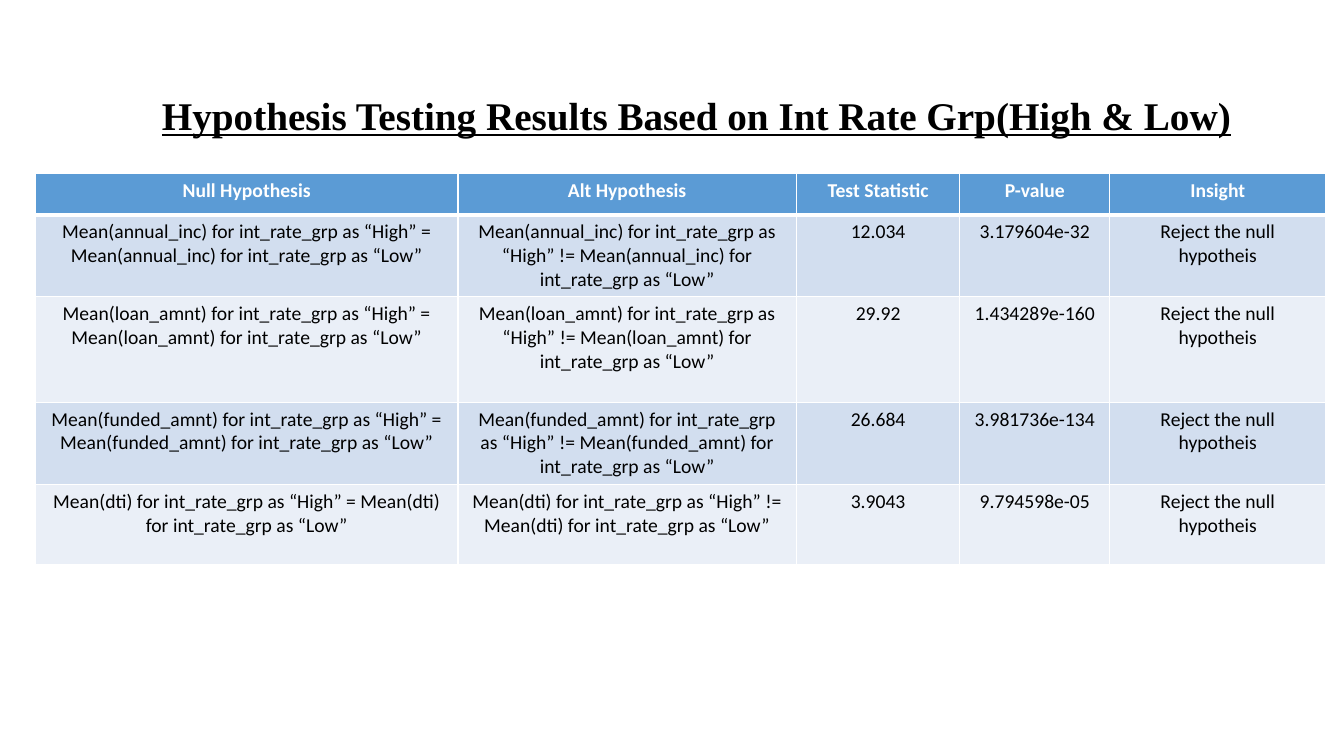
"""Build a slide that tabulates hypothesis tests between high and low interest rate groups."""
from dataclasses import dataclass

from lxml.etree import SubElement
from pptx import Presentation
from pptx.dml.color import RGBColor
from pptx.enum.text import MSO_ANCHOR, MSO_AUTO_SIZE, PP_ALIGN
from pptx.oxml.ns import qn
from pptx.slide import Slide
from pptx.table import _Cell
from pptx.util import Cm, Pt


@dataclass(frozen=True)
class Theme:
    title_font: str = "Times New Roman"
    table_font: str = "Calibri"
    title_size: int = 28
    table_size: int = 14
    ink: str = "000000"
    header_ink: str = "FFFFFF"
    header_fill: str = "5B9BD5"
    band_fills: tuple[str, str] = ("D2DEEF", "EAEFF7")
    border: str = "FFFFFF"
    border_width: float = 1
    header_rule_width: float = 3


@dataclass(frozen=True)
class HypothesisTest:
    variable: str
    statistic: str
    p_value: str
    height: float
    insight: str = "Reject the null hypotheis"

    def hypothesis(self, relation: str) -> str:
        mean = f"Mean({self.variable}) for int_rate_grp as"
        return f"{mean} “High” {relation} {mean} “Low”"

    def texts(self) -> tuple[str, ...]:
        return (self.hypothesis("="), self.hypothesis("!="),
                self.statistic, self.p_value, self.insight)


THEME = Theme()
TITLE = "Hypothesis Testing Results Based on Int Rate Grp(High & Low)"
HEADINGS = ("Null Hypothesis", "Alt Hypothesis", "Test Statistic", "P-value", "Insight")
COLUMN_WIDTHS = (10.64, 8.53, 4.12, 3.78, 5.44)
HEADER_HEIGHT = 1.03
TESTS = (
    HypothesisTest("annual_inc", "12.034", "3.179604e-32", 2.07),
    HypothesisTest("loan_amnt", "29.92", "1.434289e-160", 2.66),
    HypothesisTest("funded_amnt", "26.684", "3.981736e-134", 2.07),
    HypothesisTest("dti", "3.9043", "9.794598e-05", 2.03),
)


def add_borders(cell: _Cell, bottom_width: float, top_width: float) -> None:
    """Draw the four edges of a cell."""
    properties = cell._tc.get_or_add_tcPr()
    widths = {"a:lnL": THEME.border_width, "a:lnR": THEME.border_width,
              "a:lnT": top_width, "a:lnB": bottom_width}
    for edge, width in widths.items():
        line = SubElement(properties, qn(edge), w=str(Pt(width)))
        fill = SubElement(line, qn("a:solidFill"))
        SubElement(fill, qn("a:srgbClr"), val=THEME.border)


def fill_cell(cell: _Cell, text: str, row: int) -> None:
    """Write and format one cell according to its row."""
    is_header = row == 0
    add_borders(
        cell,
        bottom_width=THEME.header_rule_width if is_header else THEME.border_width,
        top_width=THEME.header_rule_width if row == 1 else THEME.border_width,
    )
    cell.fill.solid()
    fill = THEME.header_fill if is_header else THEME.band_fills[(row - 1) % 2]
    cell.fill.fore_color.rgb = RGBColor.from_string(fill)
    cell.text = text
    paragraph = cell.text_frame.paragraphs[0]
    paragraph.alignment = PP_ALIGN.CENTER
    font = paragraph.font
    font.name = THEME.table_font
    font.size = Pt(THEME.table_size)
    font.bold = is_header
    font.color.rgb = RGBColor.from_string(THEME.header_ink if is_header else THEME.ink)


def add_title(slide: Slide) -> None:
    """Place and format the slide title."""
    title = slide.shapes.title
    title.left, title.top, title.width, title.height = Cm(3.15), Cm(1.78), Cm(28.8), Cm(2.39)
    frame = title.text_frame
    frame.text = TITLE
    frame.word_wrap = True
    frame.auto_size = MSO_AUTO_SIZE.NONE
    frame.vertical_anchor = MSO_ANCHOR.MIDDLE
    paragraph = frame.paragraphs[0]
    paragraph.alignment = PP_ALIGN.CENTER
    paragraph.line_spacing = 0.9
    font = paragraph.font
    font.name = THEME.title_font
    font.size = Pt(THEME.title_size)
    font.bold = True
    font.underline = True
    font.color.rgb = RGBColor.from_string(THEME.ink)


def add_results(slide: Slide) -> None:
    """Add the table of test results."""
    heights = (HEADER_HEIGHT, *(test.height for test in TESTS))
    results = slide.shapes.add_table(
        len(heights), len(HEADINGS), Cm(0.9), Cm(4.38),
        Cm(sum(COLUMN_WIDTHS)), Cm(sum(heights)),
    ).table
    for column, width in zip(results.columns, COLUMN_WIDTHS):
        column.width = Cm(width)
    for row, height in zip(results.rows, heights):
        row.height = Cm(height)
    for row, texts in enumerate((HEADINGS, *(test.texts() for test in TESTS))):
        for column, text in enumerate(texts):
            fill_cell(results.cell(row, column), text, row)


def main() -> None:
    """Build and save the presentation."""
    presentation = Presentation()
    presentation.slide_width, presentation.slide_height = Cm(33.87), Cm(19.05)
    slide = presentation.slides.add_slide(presentation.slide_layouts.get_by_name("Title Only"))
    add_title(slide)
    add_results(slide)
    presentation.save("out.pptx")


main()
